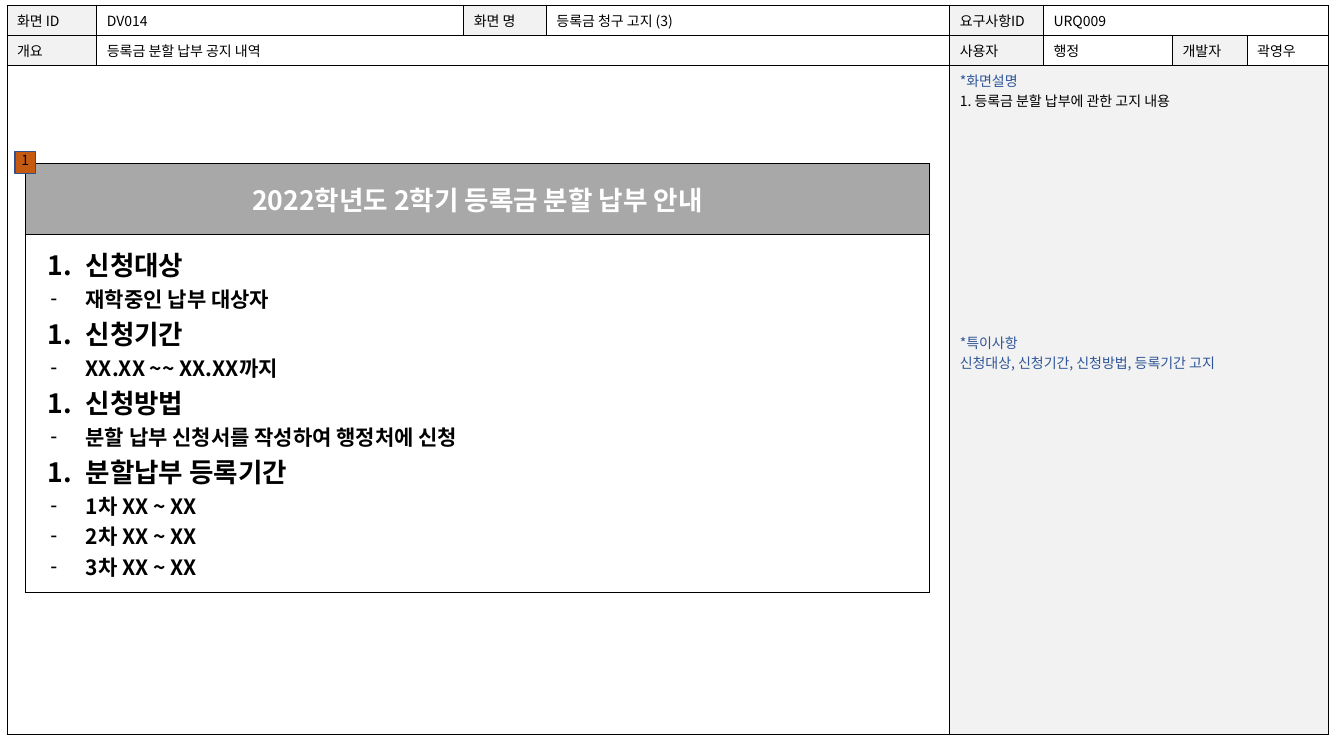
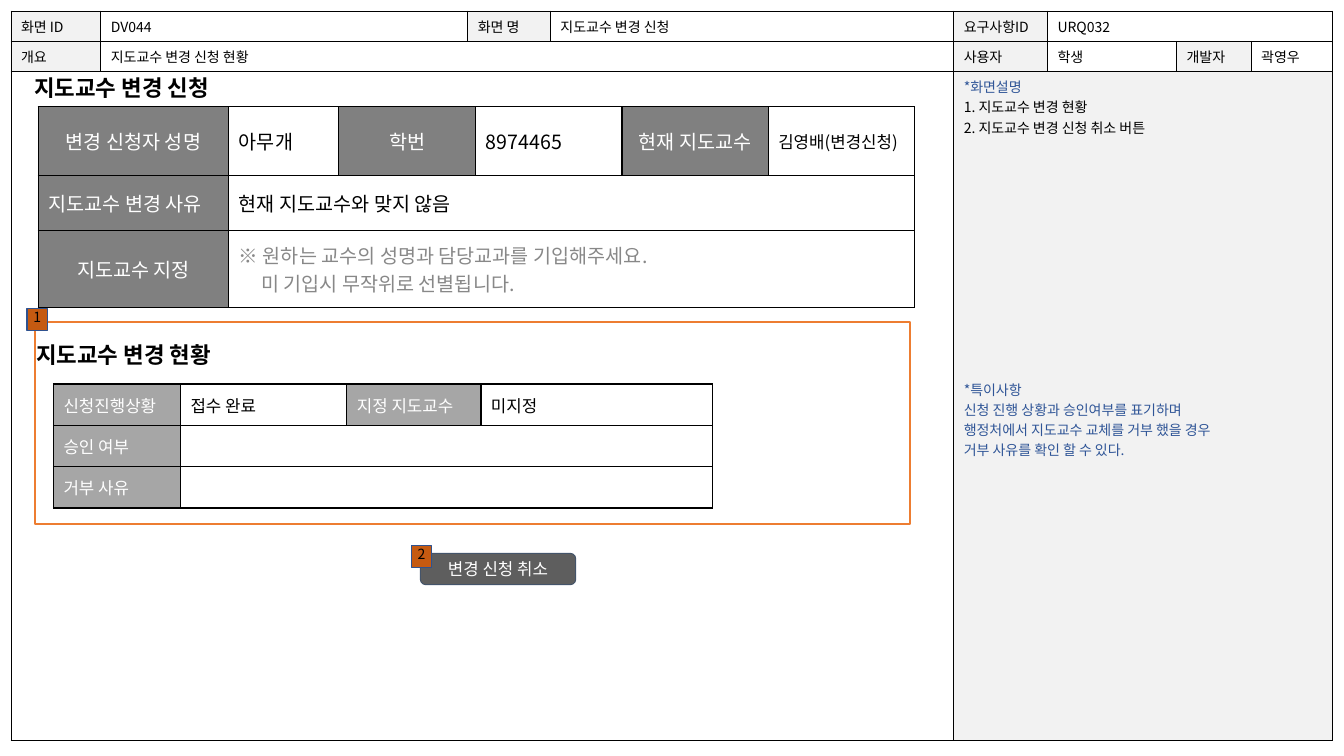
from dataclasses import dataclass

from lxml import etree
from pptx import Presentation
from pptx import util as u
from pptx.dml.color import RGBColor
from pptx.enum import shapes, text
from pptx.oxml import ns

FONT = "Noto Sans CJK KR"
BLACK, WHITE, BLUE = "000000", "FFFFFF", "2F5597"
PALE, SILVER, GREY, BANNER = "F2F2F2", "A6A6A6", "808080", "A8A8A8"
HINT, ORANGE, BUTTON = "888888", "ED7D31", "5E5E5E"
MARKER, MARKER_EDGE, BUTTON_EDGE = "C55A11", "2F528F", "44546A"
SHEET_COLUMNS = [0.89, 3.64, 0.82, 4, 0.93, 1.28, 0.74, 0.81]
SHEET_ROWS = [0.28, 0.29, 6.64]
LEFT, CENTER = text.PP_ALIGN.LEFT, text.PP_ALIGN.CENTER
TOP, MIDDLE = text.MSO_ANCHOR.TOP, text.MSO_ANCHOR.MIDDLE


@dataclass
class Line:
    """One paragraph and its look."""
    words: str
    size: float = 10
    color: str = BLACK
    bold: bool = False
    align: int = LEFT
    indent: tuple = (0, 0)
    bullet: str = ""
    before: float = 0


@dataclass
class Cell:
    """One table cell, with its span as (rows, columns)."""
    lines: tuple = ()
    fill: str = ""
    span: tuple = (1, 1)


def rgb(value):
    """Turn a hex string into a colour."""
    return RGBColor.from_string(value)


def child(parent, tag, **attributes):
    """Append a drawing element."""
    return etree.SubElement(parent, ns.qn("a:" + tag), attributes)


def paint(fill, color):
    """Fill with a colour, or leave clear when there is none."""
    if color:
        fill.solid()
        fill.fore_color.rgb = rgb(color)
    else:
        fill.background()


def write(frame, lines):
    """Write lines into a text frame and format them."""
    frame.word_wrap = True
    for index, line in enumerate(lines):
        para = frame.add_paragraph() if index else frame.paragraphs[0]
        para.text = line.words
        para.alignment = line.align
        if line.before:
            para.space_before = u.Pt(line.before)
        properties = para._p.get_or_add_pPr()
        left, first = line.indent
        properties.set("marL", str(u.Inches(left)))
        properties.set("indent", str(u.Inches(first)))
        if line.bullet == "1.":
            child(properties, "buAutoNum", type="arabicPeriod")
        elif line.bullet:
            child(properties, "buFont", typeface="Arial")
            child(properties, "buChar", char=line.bullet)
        for span in para.runs:
            span.font.size = u.Pt(line.size)
            span.font.bold = line.bold
            span.font.color.rgb = rgb(line.color)
            span.font.name = FONT
            child(span._r.get_or_add_rPr(), "ea", typeface=FONT)


def set_margins(holder, across, down):
    """Set the inner margins of a cell or text frame."""
    holder.margin_left = holder.margin_right = u.Inches(across)
    holder.margin_top = holder.margin_bottom = u.Inches(down)


def add_borders(cell, width):
    """Draw black borders on all sides of a cell."""
    properties = cell._tc.get_or_add_tcPr()
    for side in ("lnL", "lnR", "lnT", "lnB"):
        edge = child(properties, side, w=str(u.Pt(width)))
        child(child(edge, "solidFill"), "srgbClr", val=BLACK)


def add_grid(page, corner, widths, heights, rows, anchor=MIDDLE, pad=0.05, border=1):
    """Place a table; cells follow each other by their column spans."""
    left, top = corner
    table = page.shapes.add_table(
        len(heights), len(widths), u.Inches(left), u.Inches(top),
        u.Inches(sum(widths)), u.Inches(sum(heights))).table
    table.first_row = table.horz_banding = False
    for column, width in zip(table.columns, widths):
        column.width = u.Inches(width)
    for row, height in zip(table.rows, heights):
        row.height = u.Inches(height)
    for cell in table.iter_cells():
        add_borders(cell, border)
    for y, row in enumerate(rows):
        x = 0
        for item in row:
            cell = table.cell(y, x)
            down, across = item.span
            if item.span != (1, 1):
                cell.merge(table.cell(y + down - 1, x + across - 1))
            cell.vertical_anchor = anchor
            set_margins(cell, 0.1, pad)
            paint(cell.fill, item.fill)
            write(cell.text_frame, item.lines)
            x += across
    return table


def add_box(page, box, fill="", edge="", width=1, kind=shapes.MSO_SHAPE.RECTANGLE,
            line=None, anchor=MIDDLE):
    """Place a flat shape with an optional line of text."""
    shape = page.shapes.add_shape(kind, *map(u.Inches, box))
    shape.shadow.inherit = False
    paint(shape.fill, fill)
    shape.line.color.rgb = rgb(edge)
    shape.line.width = u.Pt(width)
    if line:
        frame = shape.text_frame
        set_margins(frame, 0, 0)
        frame.vertical_anchor = anchor
        write(frame, [line])


def add_marker(page, left, top, number):
    """Place a numbered callout square."""
    add_box(page, (left, top, 0.2, 0.22), MARKER, MARKER_EDGE,
            line=Line(number, align=CENTER), anchor=TOP)


def add_heading(page, box, words):
    """Place a bold section heading."""
    frame = page.shapes.add_textbox(*map(u.Inches, box)).text_frame
    set_margins(frame, 0, 0)
    frame.margin_left = u.Inches(0.05)
    frame.vertical_anchor = MIDDLE
    write(frame, [Line(words, 16, bold=True)])


def add_sheet(page, corner, screen, name, request, summary, user, notes, remarks, gap):
    """Place the specification sheet that frames every screen."""
    def label(words):
        return Cell([Line(words)], PALE)

    def value(words, across=1):
        return Cell([Line(words)], WHITE, (1, across))

    description = [Line("*화면설명", color=BLUE)]
    description += [Line(f"{number}. {note}", indent=(0.25, -0.25))
                    for number, note in enumerate(notes, 1)]
    description.append(Line("*특이사항", color=BLUE, before=gap))
    description += [Line(remark, color=BLUE) for remark in remarks]
    add_grid(page, corner, SHEET_COLUMNS, SHEET_ROWS, [
        [label("화면 ID"), value(screen), label("화면 명"), value(name),
         label("요구사항ID"), value(request, 3)],
        [label("개요"), value(summary, 3), label("사용자"), value(user),
         label("개발자"), value("곽영우")],
        [Cell(fill=WHITE, span=(1, 4)), Cell(description, PALE, (1, 4))],
    ], anchor=TOP, border=0.75)


def add_notice(page, corner):
    """Place the instalment notice: banner above a numbered list."""
    sections = [
        ("신청대상", ["재학중인 납부 대상자"]),
        ("신청기간", ["XX.XX ~~ XX.XX까지"]),
        ("신청방법", ["분할 납부 신청서를 작성하여 행정처에 신청"]),
        ("분할납부 등록기간", [f"{turn}차 XX ~ XX" for turn in (1, 2, 3)]),
    ]
    lines = []
    for heading, details in sections:
        lines.append(Line(heading, 19, bold=True, indent=(0.5, -0.38), bullet="1."))
        lines += [Line(detail, 15, bold=True, indent=(0.5, -0.35), bullet="-")
                  for detail in details]
    banner = Line("2022학년도 2학기 등록금 분할 납부 안내", 19, WHITE, True, CENTER)
    table = add_grid(page, corner, [1.14, 3.83, 1.58, 1.31, 1.11], [0.71] * 6,
                     [[Cell([banner], BANNER, (1, 5))], [Cell(lines, span=(5, 5))]],
                     anchor=TOP, pad=0.1)
    table.cell(0, 0).vertical_anchor = MIDDLE


def add_request(page, corner):
    """Place the advisor change request form."""
    def label(words, align=CENTER):
        return Cell([Line(words, 14, WHITE, align=align)], GREY)

    def value(words, size=14):
        return Cell([Line(words, size)])

    hint = [Line("※ 원하는 교수의 성명과 담당교과를 기입해주세요.", 14, HINT),
            Line("미 기입시 무작위로 선별됩니다.", 14, HINT, indent=(0.22, 0))]
    add_grid(page, corner, [1.89, 1.09, 1.36] + [1.45] * 3, [0.54] * 3, [
        [label("변경 신청자 성명"), value("아무개"), label("학번"), value("8974465"),
         label("현재 지도교수"), value("김영배(변경신청)", 12)],
        [label("지도교수 변경 사유", LEFT),
         Cell([Line("현재 지도교수와 맞지 않음", 14)], WHITE, (1, 5))],
        [label("지도교수 지정"), Cell(hint, WHITE, (1, 5))],
    ], pad=0.1)


def add_status(page, corner):
    """Place the table with the progress of the request."""
    def label(words):
        return Cell([Line(words, 12, WHITE)], SILVER)

    def value(words):
        return Cell([Line(words, 12)], WHITE)

    blank = Cell(fill=WHITE, span=(1, 3))
    add_grid(page, corner, [1.26, 1.65, 1.33, 2.3], [0.41] * 3, [
        [label("신청진행상황"), value("접수 완료"), label("지정 지도교수"), value("미지정")],
        [label("승인 여부"), blank],
        [label("거부 사유"), blank],
    ])


def build_notice_page(page):
    """Build the tuition notice screen."""
    add_sheet(page, (0.07, 0.05), "DV014", "등록금 청구 고지 (3)", "URQ009",
              "등록금 분할 납부 공지 내역", "행정", ["등록금 분할 납부에 관한 고지 내용"],
              ["신청대상, 신청기간, 신청방법, 등록기간 고지"], gap=158)
    add_notice(page, (0.25, 1.62))
    add_marker(page, 0.15, 1.5, "1")


def build_advisor_page(page):
    """Build the advisor change screen."""
    add_sheet(page, (0.11, 0.11), "DV044", "지도교수 변경 신청", "URQ032",
              "지도교수 변경 신청 현황", "학생",
              ["지도교수 변경 현황", "지도교수 변경 신청 취소 버튼"],
              ["신청 진행 상황과 승인여부를 표기하며",
               "행정처에서 지도교수 교체를 거부 했을 경우",
               "거부 사유를 확인 할 수 있다."], gap=173)
    add_box(page, (0.35, 3.19, 8.68, 2.01), edge=ORANGE, width=1.5)
    add_request(page, (0.38, 1.06))
    add_heading(page, (0.29, 0.66, 2.1, 0.41), "지도교수 변경 신청")
    add_box(page, (4.17, 5.49, 1.54, 0.31), BUTTON, BUTTON_EDGE, 0.75,
            shapes.MSO_SHAPE.ROUNDED_RECTANGLE,
            Line("변경 신청 취소", 12, WHITE, align=CENTER))
    add_marker(page, 0.27, 3.06, "1")
    add_marker(page, 4.08, 5.41, "2")
    add_heading(page, (0.31, 3.31, 2.25, 0.41), "지도교수 변경 현황")
    add_status(page, (0.53, 3.81))


def main():
    """Build and save the deck."""
    deck = Presentation()
    deck.slide_width, deck.slide_height = u.Inches(13.33), u.Inches(7.5)
    for build in (build_notice_page, build_advisor_page):
        build(deck.slides.add_slide(deck.slide_layouts[6]))
    deck.save("out.pptx")


main()
